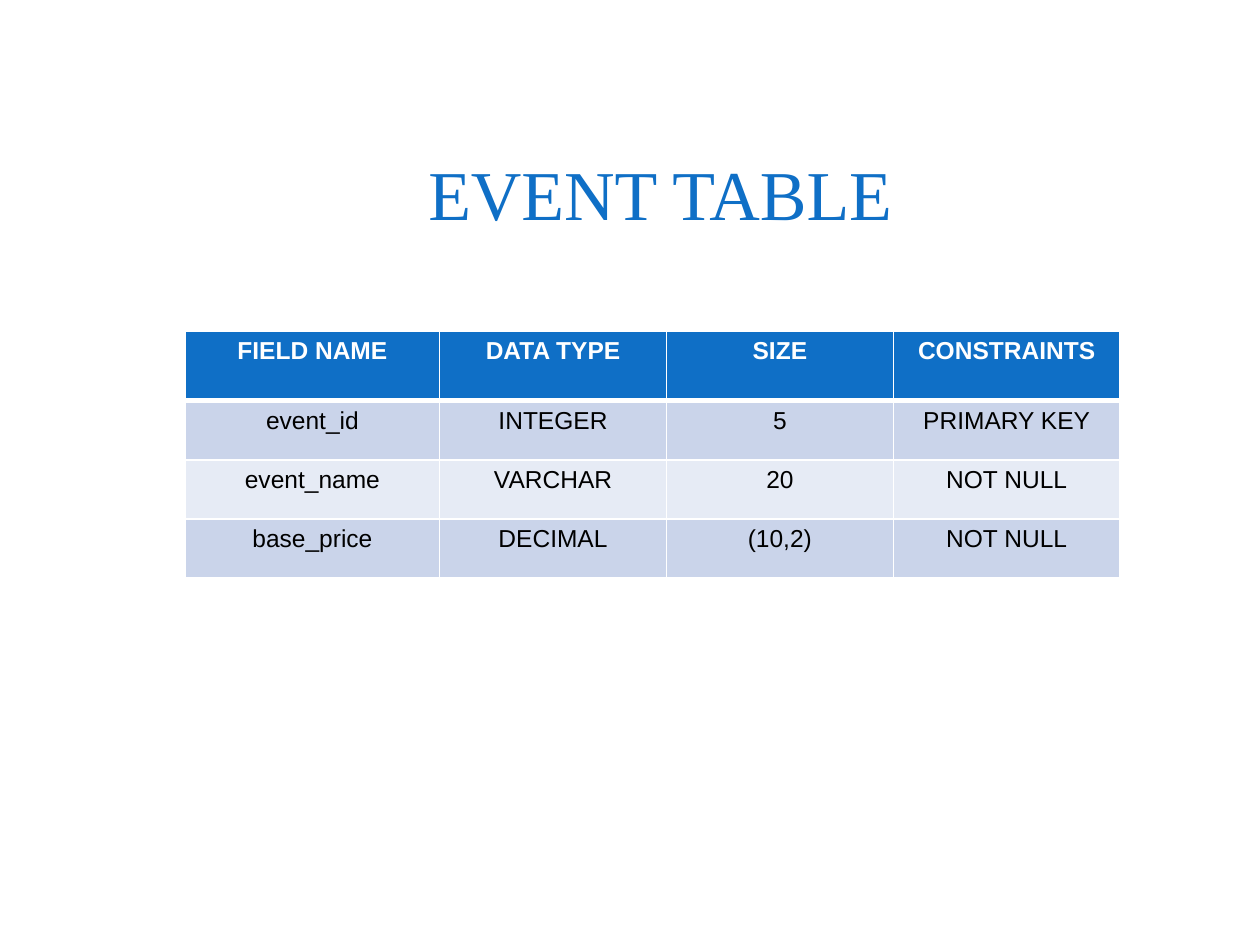
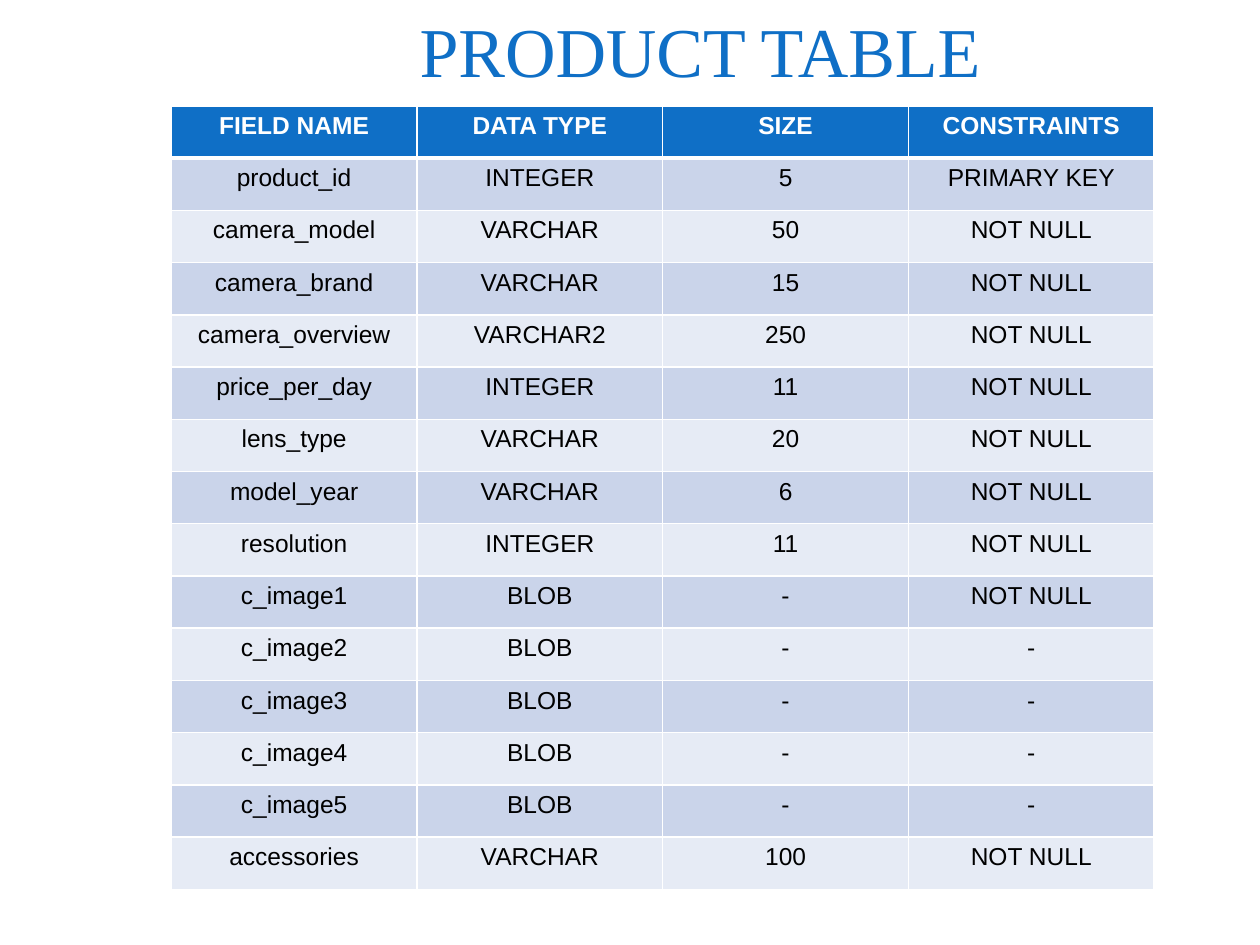
"""Build two slides that document the event and product database tables."""
import pptx
import pptx.dml.color
import pptx.enum.text
import pptx.oxml
import pptx.oxml.ns
import pptx.util

Inches = pptx.util.Inches
Pt = pptx.util.Pt
COLOURS = {"accent": "0F6FC6", "odd": "CAD4EA", "even": "E6EBF5", "rule": "FFFFFF",
           "heading": "FFFFFF", "body": "000000"}
TITLE_FONT = {"name": "Times New Roman", "size": Pt(40)}
HEADING_FONT = {"name": "Arial", "size": Pt(14), "bold": True}
BODY_FONT = {"name": "Arial", "size": Pt(14), "bold": False}
HEADINGS = ("FIELD NAME", "DATA TYPE", "SIZE", "CONSTRAINTS")
ALIGN = pptx.enum.text.PP_ALIGN

SCHEMAS = [
    {
        "title": "EVENT TABLE", "title_at": (0.24, 0.61), "indent": 1, "align": ALIGN.CENTER,
        "grid_at": (1.47, 2.63), "widths": [2.02, 1.8, 1.8, 1.8],
        "heading_height": 0.55, "field_height": 0.47,
        "fields": [
            ("event_id", "INTEGER", "5", "PRIMARY KEY"),
            ("event_name", "VARCHAR", "20", "NOT NULL"),
            ("base_price", "DECIMAL", "(10,2)", "NOT NULL"),
        ],
    },
    {
        "title": "PRODUCT TABLE", "title_at": (1, -0.52), "indent": 2.33, "align": ALIGN.LEFT,
        "grid_at": (1.36, 0.84), "widths": [1.95] * 4,
        "heading_height": 6.22 / 15, "field_height": 6.22 / 15,
        "fields": [
            ("product_id", "INTEGER", "5", "PRIMARY KEY"),
            ("camera_model", "VARCHAR", "50", "NOT NULL"),
            ("camera_brand", "VARCHAR", "15", "NOT NULL"),
            ("camera_overview", "VARCHAR2", "250", "NOT NULL"),
            ("price_per_day", "INTEGER", "11", "NOT NULL"),
            ("lens_type", "VARCHAR", "20", "NOT NULL"),
            ("model_year", "VARCHAR", "6", "NOT NULL"),
            ("resolution", "INTEGER", "11", "NOT NULL"),
            ("c_image1", "BLOB", "-", "NOT NULL"),
            *[(f"c_image{number}", "BLOB", "-", "-") for number in range(2, 6)],
            ("accessories", "VARCHAR", "100", "NOT NULL"),
        ],
    },
]


def write(paragraph, text, font, colour, align):
    paragraph.text = text
    paragraph.alignment = align
    for attribute, value in font.items():
        setattr(paragraph.font, attribute, value)
    paragraph.font.color.rgb = pptx.dml.color.RGBColor.from_string(COLOURS[colour])


def rule_cell(cell, row):
    weights = {"L": 1, "R": 1, "T": 3 if row == 1 else 1, "B": 3 if row == 0 else 1}
    for side, weight in weights.items():
        cell._tc.get_or_add_tcPr().append(pptx.oxml.parse_xml(
            f'<a:ln{side} {pptx.oxml.ns.nsdecls("a")} w="{Pt(weight)}"><a:solidFill>'
            f'<a:srgbClr val="{COLOURS["rule"]}"/></a:solidFill></a:ln{side}>'))


deck = pptx.Presentation()
deck.slide_width, deck.slide_height = Inches(10), Inches(7.5)

for schema in SCHEMAS:
    slide = deck.slides.add_slide(deck.slide_layouts[6])

    left, top = schema["title_at"]
    title = slide.shapes.add_textbox(Inches(left), Inches(top), Inches(9), Inches(1.25)).text_frame
    title_format = {"word_wrap": True, "vertical_anchor": pptx.enum.text.MSO_ANCHOR.BOTTOM,
                    "margin_left": Inches(schema["indent"]), "margin_top": Inches(0.05),
                    "margin_right": 0, "margin_bottom": 0}
    for attribute, value in title_format.items():
        setattr(title, attribute, value)
    write(title.paragraphs[0], schema["title"], TITLE_FONT, "accent", schema["align"])

    records = [HEADINGS, *schema["fields"]]
    heights = [schema["heading_height"]] + [schema["field_height"]] * len(schema["fields"])
    left, top = schema["grid_at"]
    grid = slide.shapes.add_table(len(records), len(HEADINGS), Inches(left), Inches(top),
                                  Inches(sum(schema["widths"])), Inches(sum(heights))).table
    for column, width in zip(grid.columns, schema["widths"]):
        column.width = Inches(width)

    for row, (record, height) in enumerate(zip(records, heights)):
        grid.rows[row].height = Inches(height)
        font, ink = (BODY_FONT, "body") if row else (HEADING_FONT, "heading")
        band = "accent" if row == 0 else "odd" if row % 2 else "even"
        for column, text in enumerate(record):
            cell = grid.cell(row, column)
            rule_cell(cell, row)
            cell.fill.solid()
            cell.fill.fore_color.rgb = pptx.dml.color.RGBColor.from_string(COLOURS[band])
            write(cell.text_frame.paragraphs[0], text, font, ink, ALIGN.CENTER)

deck.save("out.pptx")
